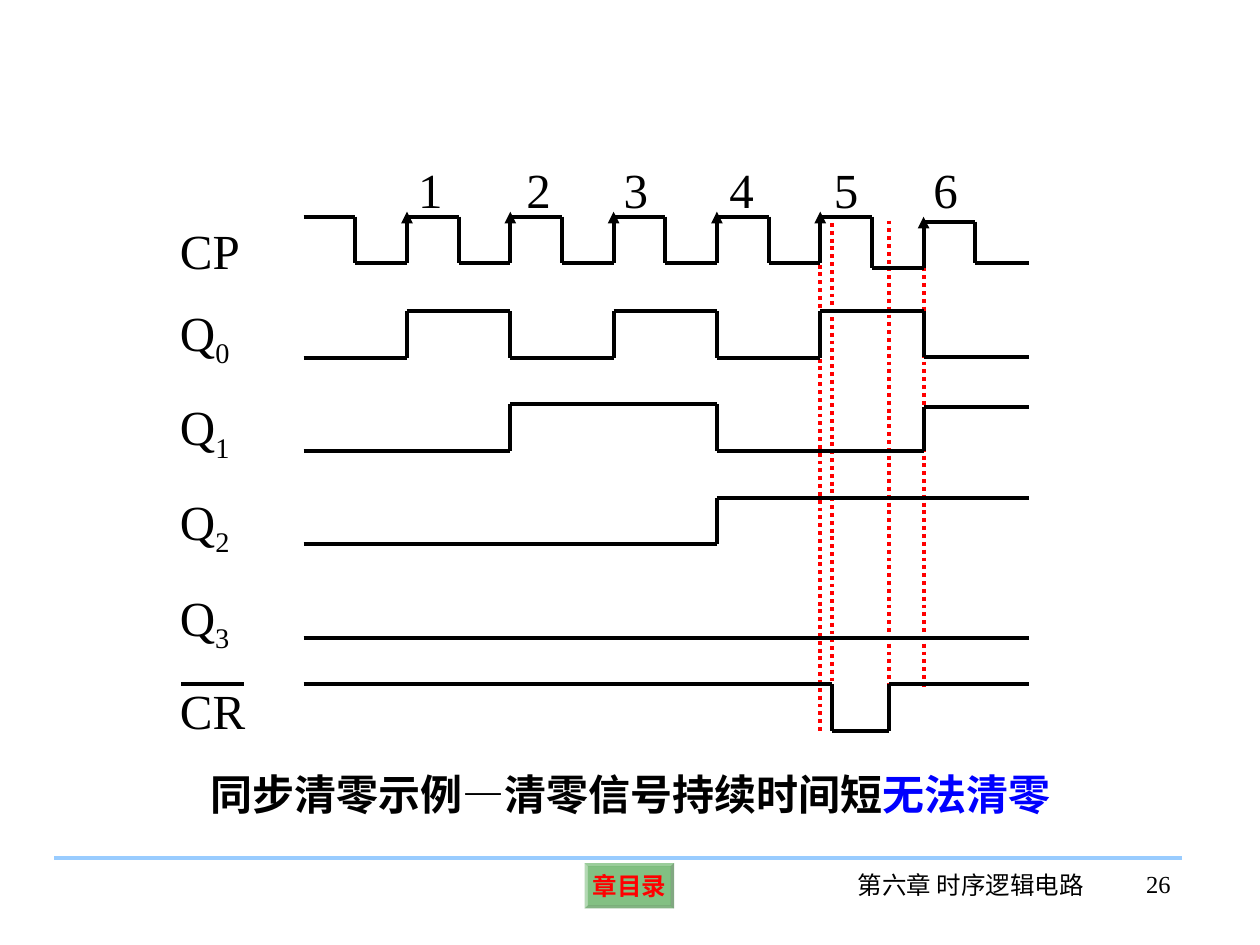
from itertools import pairwise

from lxml.etree import SubElement
from pptx import Presentation
from pptx.dml.color import RGBColor
from pptx.enum.dml import MSO_LINE
from pptx.enum.shapes import MSO_CONNECTOR, MSO_SHAPE
from pptx.enum.text import MSO_ANCHOR, MSO_AUTO_SIZE, PP_ALIGN
from pptx.oxml.ns import qn
from pptx.util import Inches, Pt

THEME = {
    "font": "Times New Roman",
    "black": "000000", "red": "FF0000", "blue": "0000FF",
    "rule": "99CCFF", "button": "008000",
    "label": 28, "caption": 24, "footer": 14,
    "line": 2.25,
}

# Time is counted in half clock periods from the left end of the traces.
START, HALF, END = 2.41, 0.41, 14.05
CLEAR_ON, CLEAR_OFF = 10.22, 11.34

# Each trace is a list of (time, height on the slide) steps.
CLOCK = [(time, 2.09 if time % 2 else 1.72) for time in range(11)]
CLOCK += [(11, 2.13), (12, 1.76), (13, 2.09)]
TRACES = [
    [(0, 2.84), (2, 2.47), (4, 2.84), (6, 2.47), (8, 2.84), (10, 2.47), (12, 2.83)],
    [(0, 3.58), (4, 3.21), (8, 3.58), (12, 3.23)],
    [(0, 4.32), (8, 3.95)],
    [(0, 5.06)],
    [(0, 5.43), (CLEAR_ON, 5.8), (CLEAR_OFF, 5.43)],
]
ARROW_OVERSHOOT = 0.04

# time, top, bottom
GUIDES = [(12, 1.75, 5.45), (CLEAR_ON, 1.77, 5.8), (10, 2.1, 5.8), (CLEAR_OFF, 1.75, 5.45)]

# text, subscript, top, width, height
SIGNAL_LABELS = [
    ("CP", "", 1.7, 0.77, 0.57),
    ("Q", "0", 2.35, 0.69, 0.63),
    ("Q", "1", 3.1, 0.69, 0.63),
    ("Q", "2", 3.85, 0.69, 0.63),
    ("Q", "3", 4.61, 0.77, 0.63),
    ("CR", "", 5.35, 0.77, 0.57),
]
PULSE_LABELS = [("1", 3.22), ("2", 4.08), ("3", 4.85), ("4", 5.69), ("5", 6.52), ("6", 7.31)]
CAPTION = [("同步清零示例—清零信号持续时间短", "black"), ("无法清零", "blue")]


def colour(name):
    return RGBColor.from_string(THEME[name])


def time_to_x(time):
    return START + HALF * time


def add_line(slide, x1, y1, x2, y2, name="black", dotted=False, arrow=False):
    line = slide.shapes.add_connector(
        MSO_CONNECTOR.STRAIGHT, Inches(x1), Inches(y1), Inches(x2), Inches(y2))
    line.line.color.rgb = colour(name)
    line.line.width = Pt(THEME["line"])
    if dotted:
        line.line.dash_style = MSO_LINE.ROUND_DOT
    if arrow:
        SubElement(line.line._get_or_add_ln(), qn("a:tailEnd"), type="triangle")
    SubElement(line._element.spPr, qn("a:effectLst"))


def format_run(run, size, name="black", bold=False):
    run.font.name = THEME["font"]
    run.font.size = Pt(THEME[size])
    run.font.color.rgb = colour(name)
    run.font.bold = bold


def add_text(slide, parts, left, top, width, height, size,
             bold=False, align=PP_ALIGN.LEFT, grow=True):
    """Add a text box; parts is a list of (text, colour name)."""
    box = slide.shapes.add_textbox(Inches(left), Inches(top), Inches(width), Inches(height))
    frame = box.text_frame
    frame.word_wrap = True
    frame.auto_size = MSO_AUTO_SIZE.SHAPE_TO_FIT_TEXT if grow else MSO_AUTO_SIZE.NONE
    paragraph = frame.paragraphs[0]
    paragraph.alignment = align
    for text, name in parts:
        run = paragraph.add_run()
        run.text = text
        format_run(run, size, name, bold)
    return paragraph


def add_trace(slide, steps, arrows=False):
    """Draw the levels of a signal and the edges between them."""
    for (time, y), (next_time, next_y) in pairwise(steps + [(END, None)]):
        x = time_to_x(next_time)
        add_line(slide, time_to_x(time), y, x, y)
        if next_y is not None:
            arrow = arrows and next_y < y
            add_line(slide, x, y, x, next_y - (ARROW_OVERSHOOT if arrow else 0), arrow=arrow)


def add_contents_button(slide):
    button = slide.shapes.add_shape(
        MSO_SHAPE.BEVEL, Inches(4.64), Inches(6.85), Inches(0.71), Inches(0.36))
    button.adjustments[0] = 0.07
    button.shadow.inherit = False
    button.fill.solid()
    button.fill.fore_color.rgb = colour("button")
    SubElement(button._element.spPr.find(qn("a:solidFill"))[0], qn("a:alpha"), val="49000")
    button.line.fill.background()
    frame = button.text_frame
    frame.text = "章目录"
    frame.word_wrap = False
    frame.vertical_anchor = MSO_ANCHOR.MIDDLE
    frame.margin_left = frame.margin_right = Inches(0.04)
    frame.margin_top = frame.margin_bottom = Inches(0.04)
    frame.paragraphs[0].alignment = PP_ALIGN.CENTER
    format_run(frame.paragraphs[0].runs[0], "footer", "red", bold=True)


def add_footer(slide):
    add_contents_button(slide)
    add_line(slide, 0.43, 6.81, 9.38, 6.81, "rule")
    add_text(slide, [("第六章 时序逻辑电路", "black")], 6.66, 6.86, 2.09, 0.5, "footer",
             align=PP_ALIGN.CENTER, grow=False)
    add_text(slide, [("26", "black")], 8.53, 6.85, 0.86, 0.5, "footer",
             align=PP_ALIGN.RIGHT, grow=False)


def add_labels(slide):
    for text, subscript, top, width, height in SIGNAL_LABELS:
        parts = [(part, "black") for part in (text, subscript) if part]
        paragraph = add_text(slide, parts, 1.33, top, width, height, "label")
        if subscript:
            paragraph.runs[1]._r.get_or_add_rPr().set("baseline", "-25000")
    add_line(slide, 1.44, 5.43, 1.94, 5.43)
    for text, left in PULSE_LABELS:
        add_text(slide, [(text, "black")], left, 1.22, 0.45, 0.57, "label")


def main():
    presentation = Presentation()
    presentation.slide_width, presentation.slide_height = Inches(10), Inches(7.5)
    slide = presentation.slides.add_slide(presentation.slide_layouts[6])
    add_footer(slide)
    for time, top, bottom in GUIDES:
        x = time_to_x(time)
        add_line(slide, x, top, x, bottom, "red", dotted=True)
    add_trace(slide, CLOCK, arrows=True)
    for steps in TRACES:
        add_trace(slide, steps)
    add_labels(slide)
    add_text(slide, CAPTION, 1.57, 6.05, 7, 0.5, "caption", bold=True)
    presentation.save("out.pptx")


if __name__ == "__main__":
    main()
